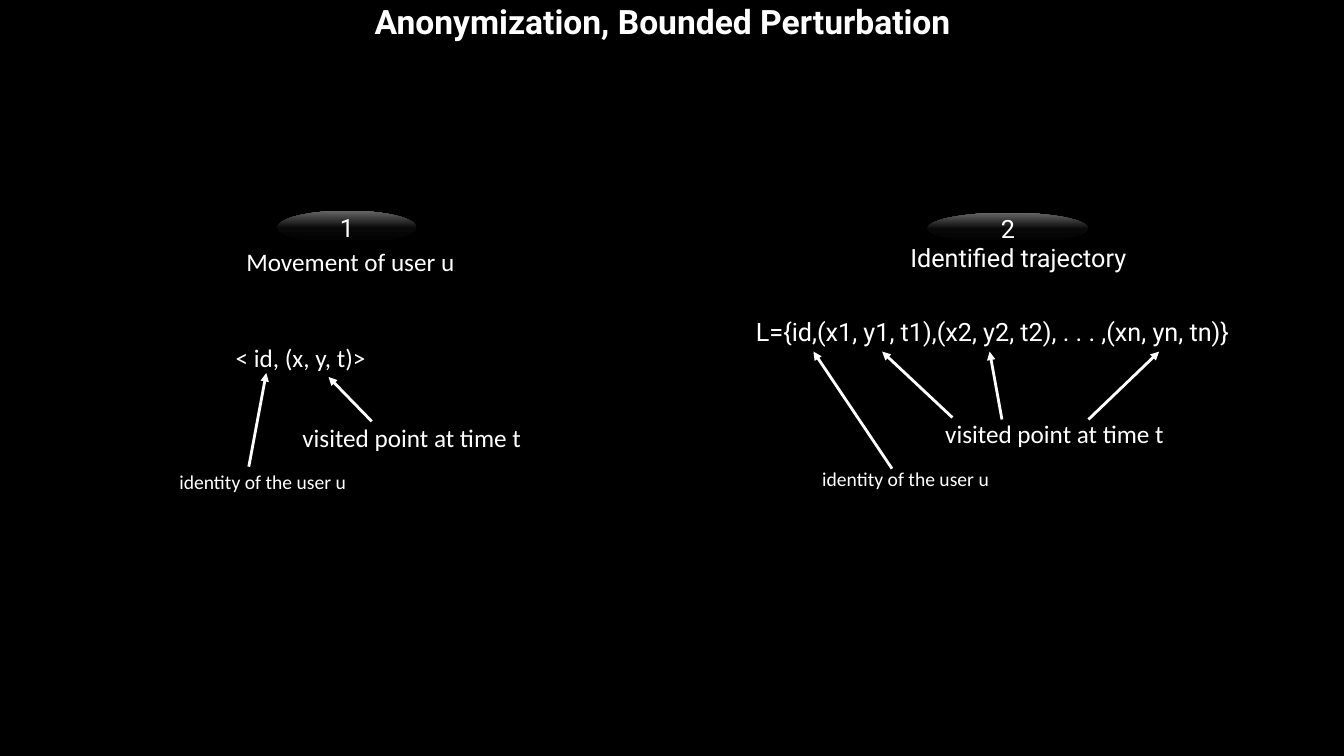
from copy import deepcopy
from dataclasses import dataclass

from lxml.etree import SubElement
from pptx import Presentation
from pptx.dml.color import RGBColor
from pptx.enum.shapes import MSO_CONNECTOR as Connector, MSO_SHAPE as Shape
from pptx.enum.text import MSO_ANCHOR as Anchor, MSO_AUTO_SIZE as AutoSize, PP_ALIGN as Align
from pptx.oxml.ns import qn
from pptx.util import Cm, Pt


@dataclass(frozen=True)
class Theme:
    background: str = "000000"
    ink: str = "FFFFFF"
    badge_stops: tuple = ((0, "000000"), (0.48, "080808"), (1, "666666"))
    heading_font: str = "Roboto"
    body_font: str = "Calibri"
    title_size: int = 24
    text_size: int = 18
    note_size: int = 14
    arrow_width: int = 2


class SlideBuilder:
    def __init__(self, deck, theme):
        self.theme = theme
        self.slide = deck.slides.add_slide(deck.slide_layouts[5])
        fill = self.slide.background.fill
        fill.solid()
        fill.fore_color.rgb = RGBColor.from_string(theme.background)

    def set_text(self, box, text, font, size, align=Align.LEFT, bold=False):
        para = box.text_frame.paragraphs[0]
        para.text = text
        para.alignment = align
        para.font.name = font
        para.font.size = Pt(size)
        para.font.bold = bold
        para.font.color.rgb = RGBColor.from_string(self.theme.ink)
        return para

    def title(self, text, left, top, width, height):
        box = self.slide.shapes.title
        box.left, box.top, box.width, box.height = map(Cm, (left, top, width, height))
        box.text_frame.word_wrap = True
        box.text_frame.auto_size = AutoSize.SHAPE_TO_FIT_TEXT
        box.text_frame.vertical_anchor = Anchor.TOP
        para = self.set_text(box, text, self.theme.heading_font, self.theme.title_size, bold=True)
        para.line_spacing = 1.0
        para.space_before = Pt(0)

    def label(self, text, left, top, width, font=None, size=None, align=Align.LEFT, indent=0):
        size = size or self.theme.text_size
        height = 1.02 if size == self.theme.text_size else 0.86
        box = self.slide.shapes.add_textbox(Cm(left), Cm(top), Cm(width), Cm(height))
        box.text_frame.word_wrap = True
        box.text_frame.auto_size = AutoSize.SHAPE_TO_FIT_TEXT
        box.text_frame.margin_left = Cm(0.25 + indent)
        self.set_text(box, text, font or self.theme.body_font, size, align)

    def note(self, text, left, top, width):
        self.label(text, left, top, width, size=self.theme.note_size)

    def badge(self, number, left, top, width, height):
        oval = self.slide.shapes.add_shape(Shape.OVAL, Cm(left), Cm(top), Cm(width), Cm(height))
        oval.shadow.inherit = False
        oval.line.fill.background()
        oval.fill.gradient()
        oval.fill.gradient_angle = 90
        stop_list = oval.element.spPr.find(qn("a:gradFill")).find(qn("a:gsLst"))
        stop_list.append(deepcopy(stop_list[0]))
        for stop, (position, color) in zip(oval.fill.gradient_stops, self.theme.badge_stops):
            stop.position = position
            stop.color.rgb = RGBColor.from_string(color)
        oval.text_frame.vertical_anchor = Anchor.MIDDLE
        self.set_text(oval, number, self.theme.heading_font, self.theme.text_size, Align.CENTER)

    def arrow(self, start, end):
        connector = self.slide.shapes.add_connector(Connector.STRAIGHT, *map(Cm, start + end))
        connector.line.width = Pt(self.theme.arrow_width)
        connector.line.color.rgb = RGBColor.from_string(self.theme.ink)
        properties = connector.element.spPr
        SubElement(properties.find(qn("a:ln")), qn("a:tailEnd"), type="triangle")
        SubElement(properties, qn("a:effectLst"))


def main():
    deck = Presentation()
    deck.slide_width, deck.slide_height = Cm(33.87), Cm(19.05)
    theme = Theme()
    page = SlideBuilder(deck, theme)
    identity, visited = "identity of the user u", "visited point at time t"

    page.title("Anonymization, Bounded Perturbation", 9.19, -0.1, 17.86, 1.27)

    page.badge("1", 6.99, 5.31, 3.51, 0.84)
    page.label("Movement of user u", 3.61, 6.07, 10.44, align=Align.CENTER)
    page.label("< id, (x, y, t)>", 4.27, 8.51, 6.35, indent=1.42)
    page.label(visited, 7.37, 10.52, 6.35)
    page.note(identity, 4.27, 11.71, 5.05)

    page.badge("2", 23.37, 5.36, 4.06, 0.79)
    page.label("Identified trajectory", 20.09, 5.99, 11.15, theme.heading_font, align=Align.CENTER)
    page.label("L={id,(x1, y1, t1),(x2, y2, t2), . . . ,(xn, yn, tn)}", 18.8, 7.85, 13.18,
               theme.heading_font)
    page.label(visited, 23.57, 10.41, 7.37)
    page.note(identity, 20.47, 11.63, 5.87)

    for start, end in (
        ((6.27, 11.76), (6.71, 9.4)),
        ((9.37, 10.62), (8.28, 9.5)),
        ((22.48, 11.81), (20.5, 8.86)),
        ((24.0, 10.52), (22.23, 8.86)),
        ((25.25, 10.57), (24.94, 8.86)),
        ((27.43, 10.57), (29.21, 8.86)),
    ):
        page.arrow(start, end)

    deck.save("out.pptx")


if __name__ == "__main__":
    main()
